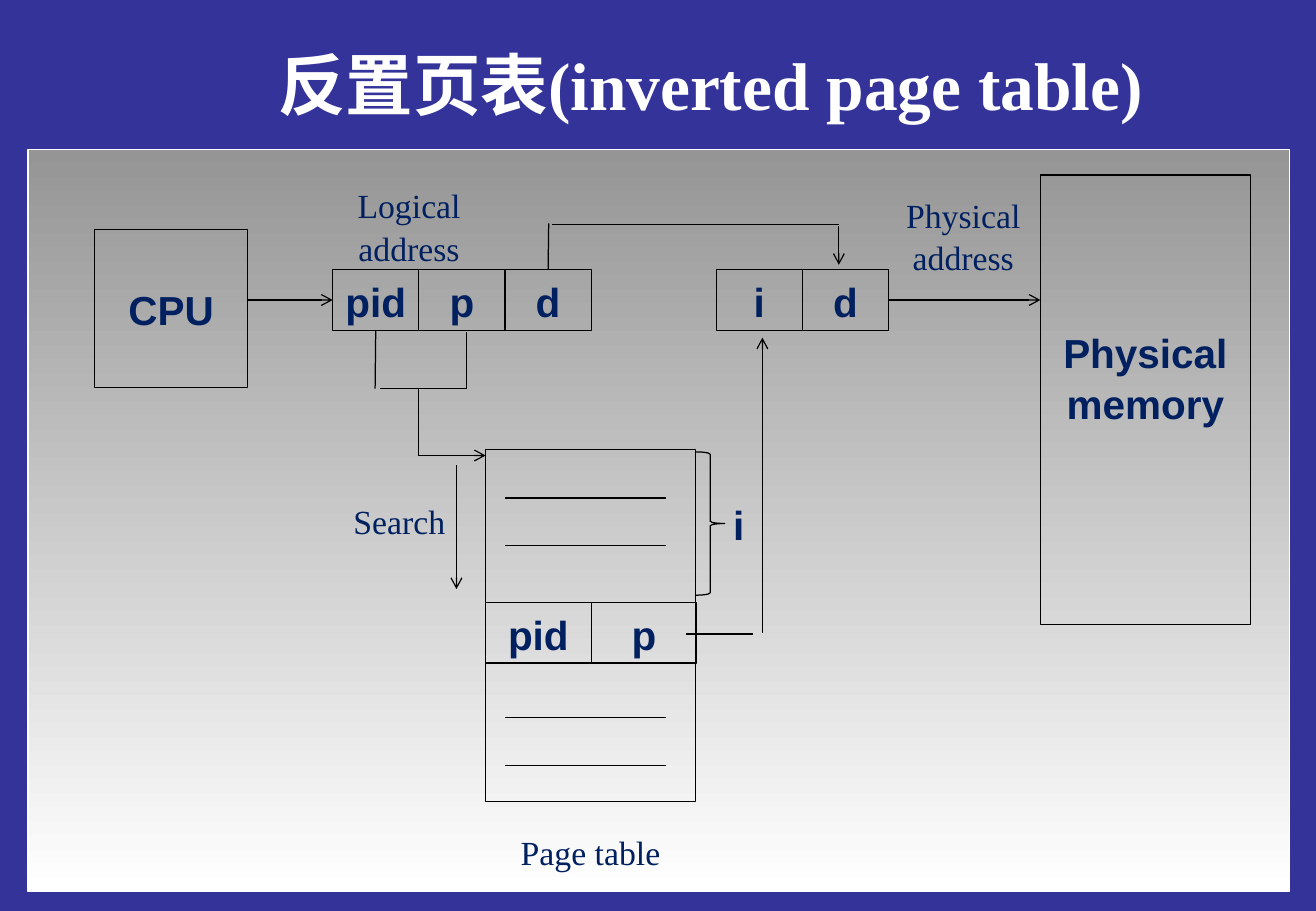
from lxml.etree import SubElement as Sub
from pptx import Presentation
from pptx.dml.color import RGBColor
from pptx.enum.shapes import MSO_CONNECTOR as Conn, MSO_SHAPE as Kind
from pptx.enum.text import MSO_ANCHOR as Anchor, PP_ALIGN as Align
from pptx.oxml.ns import qn
from pptx.util import Inches, Pt

TITLE = "反置页表(inverted page table)"
NAVY, BLACK, WHITE = "002060", "000000", "FFFFFF"
SANS, SERIF = "Arial", "Times New Roman"

BOXES = {
    "cpu": (0.78, 1.89, 1.26, 1.3, ["CPU"]),
    "memory": (8.57, 1.44, 1.73, 3.7, ["Physical", "memory"]),
    "table": (4, 3.7, 1.73, 2.9, []),
}
ROWS = [
    (2.74, 2.22, 0.71, ["pid", "p", "d"]),
    (5.9, 2.22, 0.71, ["i", "d"]),
    (4, 4.96, 0.87, ["pid", "p"]),
]
ROW_H = 0.5
NOTES = [
    (3.76, 6.79, 2.21, 0.44, ["Page table"]),
    (6.83, 1.55, 2.21, 0.77, ["Physical", "address"]),
    (2.27, 1.47, 2.2, 0.77, ["Logical", "address"]),
    (2.66, 4.06, 1.26, 0.44, ["Search"]),
]
INDEX = (5.73, 4.06, 0.71, 0.5, ["i"])
BRACE = (5.73, 3.72, 0.24, 1.18)
ENTRIES = [4.1, 4.49, 5.91, 6.3]
LINES = [
    (3.84, 2.73, 3.84, 3.2),
    (3.13, 3.2, 3.84, 3.2),
    (3.45, 3.2, 3.45, 3.75),
    (5.65, 5.22, 6.2, 5.22),
    (4.55, 1.85, 6.91, 1.85),
]
ARROWS = [
    (3.45, 3.75, 4, 3.75),
    (6.28, 5.21, 6.28, 2.78),
    (3.76, 3.83, 3.76, 4.85),
    (6.91, 1.86, 6.91, 2.18),
]


def color(text):
    return RGBColor.from_string(text)


def write(shape, lines, font, size, bold, tint=NAVY, space=1.05):
    frame = shape.text_frame
    frame.word_wrap = True
    frame.vertical_anchor = Anchor.MIDDLE
    frame.margin_left = frame.margin_right = Inches(0.1)
    frame.margin_top = frame.margin_bottom = Inches(0.05)
    for n, line in enumerate(lines):
        para = frame.add_paragraph() if n else frame.paragraphs[0]
        para.text = line
        para.alignment = Align.CENTER
        para.line_spacing = space
        para.space_before = Pt(0)
        para.font.name, para.font.size = font, Pt(size)
        para.font.bold = bold
        para.font.color.rgb = color(tint)


def draw(kind, *place, edge=BLACK):
    shape = slide.shapes.add_shape(kind, *map(Inches, place))
    shape.shadow.inherit = False
    shape.fill.background()
    shape.line.color.rgb = color(edge)
    shape.line.width = Pt(0.75)
    return shape


def box(left, top, width, height, lines):
    shape = draw(Kind.RECTANGLE, left, top, width, height)
    if lines:
        write(shape, lines, SANS, 24, True)
    return shape


def label(left, top, width, height, lines, font, size, bold):
    shape = slide.shapes.add_textbox(*map(Inches, (left, top, width, height)))
    write(shape, lines, font, size, bold)


def link(x1, y1, x2, y2, arrow=False):
    line = slide.shapes.add_connector(Conn.STRAIGHT, *map(Inches, (x1, y1, x2, y2)))
    line.line.color.rgb = color(BLACK)
    line.line.width = Pt(0.75)
    if arrow:
        Sub(line.line._get_or_add_ln(), qn("a:tailEnd"), type="arrow")
    Sub(line._element.spPr, qn("a:effectLst"))
    return line


deck = Presentation()
deck.slide_width, deck.slide_height = Inches(10.84), Inches(7.5)
slide = deck.slides.add_slide(deck.slide_layouts[5])
slide.background.fill.solid()
slide.background.fill.fore_color.rgb = color("333399")

title = slide.shapes.title
title.left, title.top = Inches(1.25), Inches(0.23)
title.width, title.height = Inches(9.21), Inches(0.92)
write(title, [TITLE], SERIF, 40, True, WHITE, 1)

panel = draw(Kind.RECTANGLE, 0.23, 1.23, 10.39, 6.11, edge=WHITE)
panel.fill.gradient()
panel.fill.gradient_angle = 270
for stop, place, tint in zip(panel.fill.gradient_stops, (0, 1), ("959595", WHITE)):
    stop.position = place
    stop.color.rgb = color(tint)

parts = {name: box(*data) for name, data in BOXES.items()}
parts["memory"].text_frame.margin_bottom = Inches(0.42)
logic, phys, entry = [
    [box(left + n * width, top, width, ROW_H, [word]) for n, word in enumerate(words)]
    for left, top, width, words in ROWS
]

for y in ENTRIES:
    link(4.16, y, 5.49, y)
for ends in LINES:
    link(*ends)
for ends in ARROWS:
    link(*ends, arrow=True)

link(2.04, 2.47, 2.74, 2.47, arrow=True).end_connect(logic[0], 1)
link(7.32, 2.47, 8.57, 2.47, arrow=True).begin_connect(phys[1], 3)
link(3.09, 2.72, 3.09, 3.2).begin_connect(logic[0], 2)
link(4.52, 2.22, 4.52, 1.84).begin_connect(logic[2], 0)

brace = draw(Kind.RIGHT_BRACE, *BRACE)
brace.adjustments[0] = 0.08
label(*INDEX, SANS, 24, True)
for note in NOTES:
    label(*note, SERIF, 20, False)

deck.save("out.pptx")
